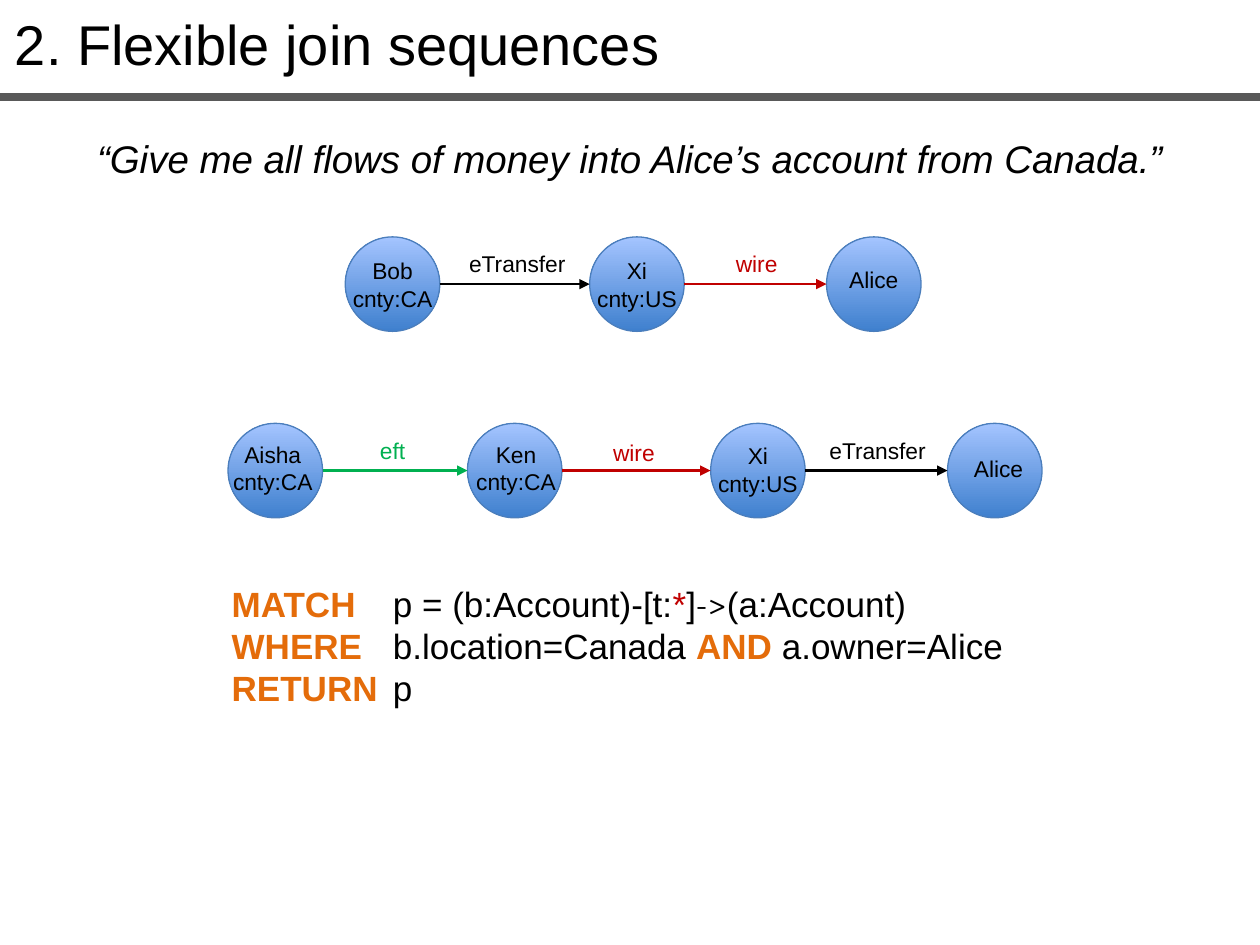
"""Build the slide on flexible join sequences."""
import dataclasses

import pptx
import pptx.dml.color
import pptx.enum.shapes
import pptx.enum.text
import pptx.oxml
import pptx.oxml.ns
import pptx.util

Inches = pptx.util.Inches
Pt = pptx.util.Pt
ALIGN = pptx.enum.text.PP_ALIGN


@dataclasses.dataclass(frozen=True)
class Theme:
    font: str = "Arial"
    serif: str = "Cambria"
    black: str = "000000"
    red: str = "C00000"
    green: str = "00B050"
    orange: str = "E46C0A"
    grey: str = "595959"
    edge: str = "4B7EBC"
    low: str = "3F80CE"
    high: str = "A4C4FF"
    title: float = 32
    quote: float = 22
    code: float = 20
    label: float = 13


THEME = Theme()
SIZE = 0.75


def rgb(code):
    return pptx.dml.color.RGBColor.from_string(code)


def xml(tag, **attrs):
    node = pptx.oxml.parse_xml(f"<a:{tag} {pptx.oxml.ns.nsdecls('a')}/>")
    for key, value in attrs.items():
        node.set(key, value)
    return node


def style(font, size, color, bold=False, italic=False, name=THEME.font):
    font.name, font.size = name, Pt(size)
    font.bold, font.italic = bold, italic
    font.color.rgb = rgb(color)


def add_box(shapes, left, top, width, height, side=0.1):
    box = shapes.add_textbox(Inches(left), Inches(top), Inches(width), Inches(height))
    frame = box.text_frame
    frame.word_wrap = True
    frame.auto_size = pptx.enum.text.MSO_AUTO_SIZE.SHAPE_TO_FIT_TEXT
    frame.margin_left = frame.margin_right = Inches(side)
    return frame


def add_text(shapes, place, text, size, color=THEME.black, align=ALIGN.CENTER,
             italic=False, side=0.1):
    frame = add_box(shapes, *place, side=side)
    frame.text = text
    for para in frame.paragraphs:
        para.alignment = align
        for run in para.runs:
            style(run.font, size, color, italic=italic)


def add_line(shapes, start, end, y, color, width, arrow=False):
    line = shapes.add_connector(pptx.enum.shapes.MSO_CONNECTOR.STRAIGHT,
                                Inches(start), Inches(y), Inches(end), Inches(y))
    line.line.color.rgb = rgb(color)
    line.line.width = Pt(width)
    if arrow:
        line.line._get_or_add_ln().append(xml("tailEnd", type="triangle"))
    line._element.spPr.append(xml("effectLst"))


def add_node(shapes, left, top, text, dx, dy):
    oval = shapes.add_shape(pptx.enum.shapes.MSO_SHAPE.OVAL, Inches(left), Inches(top),
                            Inches(SIZE), Inches(SIZE))
    oval.shadow.inherit = False
    oval.fill.gradient()
    oval.fill.gradient_angle = 90
    for stop, color in zip(oval.fill.gradient_stops, (THEME.low, THEME.high)):
        stop.color.rgb = rgb(color)
    oval.line.color.rgb = rgb(THEME.edge)
    oval.line.width = Pt(0.75)
    width, height = 0.9, 0.54 if "\n" in text else 0.32
    place = left + (SIZE - width) / 2 + dx, top + dy, width, height
    add_text(shapes, place, text, THEME.label, side=0)


def add_chain(slide, top, nodes, links):
    shapes = slide.shapes.add_group_shape().shapes
    for left, text, dx, dy in nodes:
        add_node(shapes, left, top, text, dx, dy)
    for first, last, (text, color, dx, dy) in zip(nodes, nodes[1:], links):
        start, end = first[0] + SIZE, last[0]
        add_line(shapes, start, end, top + SIZE / 2, color, 1.5, arrow=True)
        place = start + dx, top + dy, end - start, 0.32
        add_text(shapes, place, text, THEME.label, color, side=0)


def add_query(slide, rows):
    frame = add_box(slide.shapes, 1.74, 4.57, 6.51, 1.11)
    for num, row in enumerate(rows):
        para = frame.add_paragraph() if num else frame.paragraphs[0]
        tabs = xml("tabLst")
        tabs.append(xml("tab", pos=str(Inches(1.28)), algn="l"))
        para._p.get_or_add_pPr().append(tabs)
        for text, color, *name in row:
            run = para.add_run()
            run.text = text
            style(run.font, THEME.code, color, bold=color == THEME.orange,
                  name=name[0] if name else THEME.font)


def main():
    deck = pptx.Presentation()
    deck.slide_width, deck.slide_height = Inches(10), Inches(7.5)
    slide = deck.slides.add_slide(deck.slide_layouts[6])
    black, red, orange = THEME.black, THEME.red, THEME.orange

    add_text(slide.shapes, (0.02, 0.03, 9.94, 0.64), "2. Flexible join sequences",
             THEME.title, align=ALIGN.LEFT)
    add_line(slide.shapes, 0, 10, 0.77, THEME.grey, 4.5)
    add_text(slide.shapes, (0.6, 1.02, 8.8, 0.47),
             "“Give me all flows of money into Alice’s account from Canada.”",
             THEME.quote, italic=True)

    add_chain(slide, 1.88,
              [(2.74, "Bob\ncnty:CA", 0, 0.11), (4.68, "Xi\ncnty:US", 0, 0.11),
               (6.56, "Alice", 0, 0.18)],
              [("eTransfer", black, 0.02, 0.05), ("wire", red, 0.01, 0.05)])
    add_chain(slide, 3.36,
              [(1.81, "Aisha\ncnty:CA", -0.02, 0.09), (3.71, "Ken\ncnty:CA", 0.01, 0.09),
               (5.64, "Xi\ncnty:US", 0, 0.1), (7.52, "Alice", 0.03, 0.2)],
              [("eft", THEME.green, -0.02, 0.06), ("wire", red, -0.02, 0.07),
               ("eTransfer", black, 0.01, 0.06)])

    add_query(slide, [
        [("MATCH\t", orange), ("p = (b:Account)-[t:", black), ("*", red), ("]", black),
         ("->", black, THEME.serif), ("(a:Account)", black)],
        [("WHERE\t", orange), ("b.location=Canada ", black), ("AND ", orange),
         ("a.owner=Alice", black)],
        [("RETURN\t", orange), ("p", black)],
    ])
    deck.save("out.pptx")


if __name__ == "__main__":
    main()
